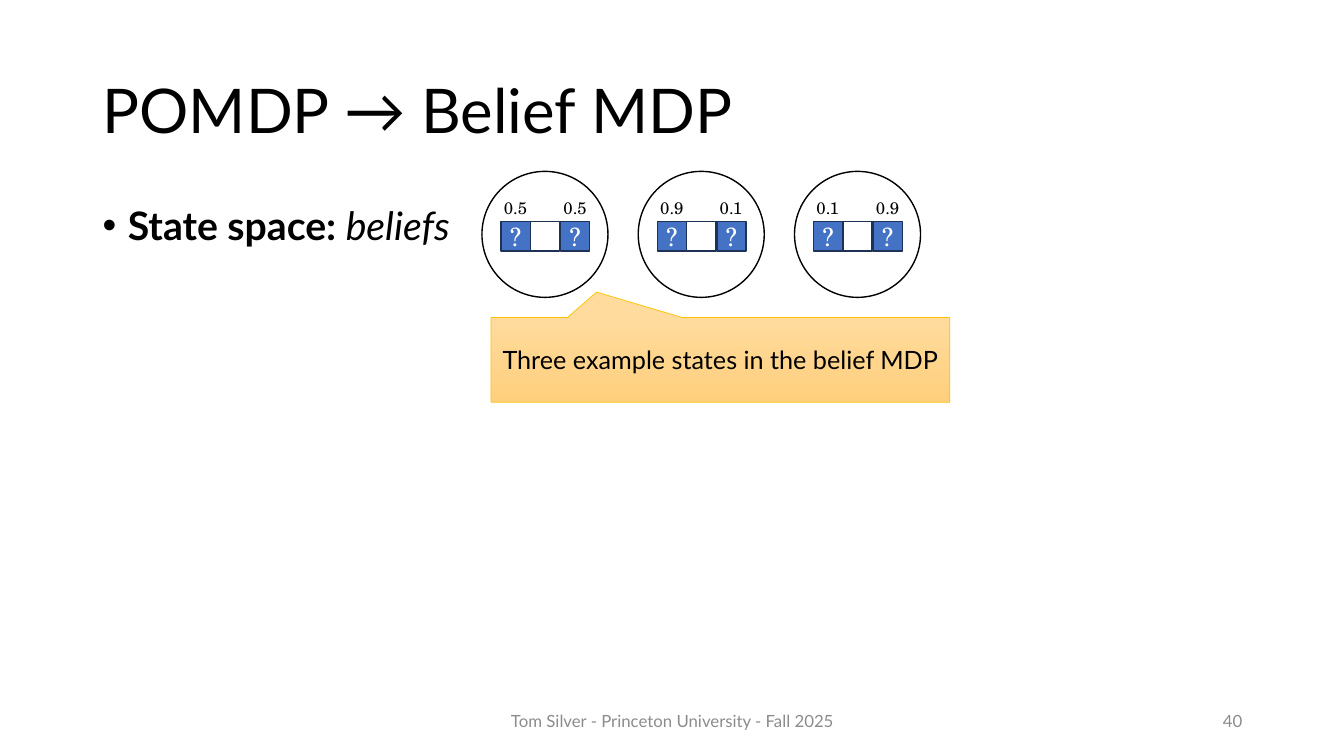
from lxml import etree
from pptx import Presentation
from pptx import util as u
from pptx.dml.color import RGBColor
from pptx.enum import shapes, text
from pptx.oxml import ns

PX = 9144
HUE = {
    "ink": "000000",
    "gray": "8C8C8C",
    "white": "FFFFFF",
    "blue": "4472C4",
    "navy": "1E3256",
    "gold": "FFC000",
    "light": "FFDB9E",
    "deep": "FFD07C",
}
KIND = shapes.MSO_SHAPE
SIDE = text.PP_ALIGN
MID = text.MSO_ANCHOR.MIDDLE
SERIF = "TeX Gyre Schola"


def draw(kind, box, fill=None, line="ink", wide=1):
    item = page.shapes.add_shape(kind, *[n * PX for n in box])
    item.shadow.inherit = False
    if fill:
        item.fill.solid()
        item.fill.fore_color.rgb = RGBColor.from_string(HUE[fill])
    else:
        item.fill.background()
    item.line.color.rgb = RGBColor.from_string(HUE[line])
    item.line.width = u.Pt(wide)
    return item


def write(words, box=None, item=None, size=18, font="Lato", hue="ink",
          side=SIDE.LEFT, anchor=MID, wrap=True, space=None, inset=10, styles=((False, False),)):
    item = item or page.shapes.add_textbox(*[n * PX for n in box])
    frame = item.text_frame
    frame.word_wrap = wrap
    frame.vertical_anchor = anchor
    frame.margin_left = frame.margin_right = inset * PX
    frame.margin_top = frame.margin_bottom = inset * PX // 2
    para = frame.paragraphs[0]
    para.alignment = side
    para.line_spacing = space
    for word, (bold, slant) in zip(words, styles):
        run = para.add_run()
        run.text = word
        run.font.name = font
        run.font.size = u.Pt(size)
        run.font.bold = bold
        run.font.italic = slant
        run.font.color.rgb = RGBColor.from_string(HUE[hue])
    return para


deck = Presentation()
deck.slide_width, deck.slide_height = 1333 * PX, 750 * PX
page = deck.slides.add_slide(deck.slide_layouts[6])

write(["POMDP → Belief MDP"], (92, 40, 1150, 145), size=44, space=0.9)

goal = write(["State space: ", "beliefs"], (92, 200, 1150, 476), size=28, space=0.9,
             anchor=text.MSO_ANCHOR.TOP, styles=((True, False), (False, True)))
props = goal._p.get_or_add_pPr()
props.set("marL", str(25 * PX))
props.set("indent", str(-25 * PX))
etree.SubElement(props, ns.qn("a:buFont")).set("typeface", "Arial")
etree.SubElement(props, ns.qn("a:buChar")).set("char", "•")

write(["Tom Silver - Princeton University - Fall 2025"], (442, 695, 450, 40),
      size=12, hue="gray", side=SIDE.CENTER)
write(["40"], (942, 695, 300, 40), size=12, hue="gray", side=SIDE.RIGHT)

for n, odds in enumerate([("0.5", "0.5"), ("0.9", "0.1"), ("0.1", "0.9")]):
    left = 478 + 155 * n
    draw(KIND.OVAL, (left, 170, 125, 125))
    for col, fill in enumerate(["blue", None, "blue"]):
        cell = draw(KIND.RECTANGLE, (left + 19 + col * 59 // 2, 220, 29, 29), fill, "navy")
        if fill:
            write(["?"], item=cell, font=SERIF, hue="white", side=SIDE.CENTER, inset=0)
    for col, odd in enumerate(odds):
        write([odd], (left + 12 + 59 * col, 191, 44, 30), size=12, font=SERIF,
              anchor=text.MSO_ANCHOR.TOP, wrap=False)

note = draw(KIND.RECTANGULAR_CALLOUT, (487, 315, 455, 84), line="gold", wide=0.5)
note.adjustments[0] = -0.27
note.adjustments[1] = -0.8
note.fill.gradient()
note.fill.gradient_angle = 270
for stop, name in zip(note.fill.gradient_stops, ["light", "deep"]):
    stop.color.rgb = RGBColor.from_string(HUE[name])
write(["Three example states in the belief MDP"], item=note, side=SIDE.CENTER)

deck.save("out.pptx")
